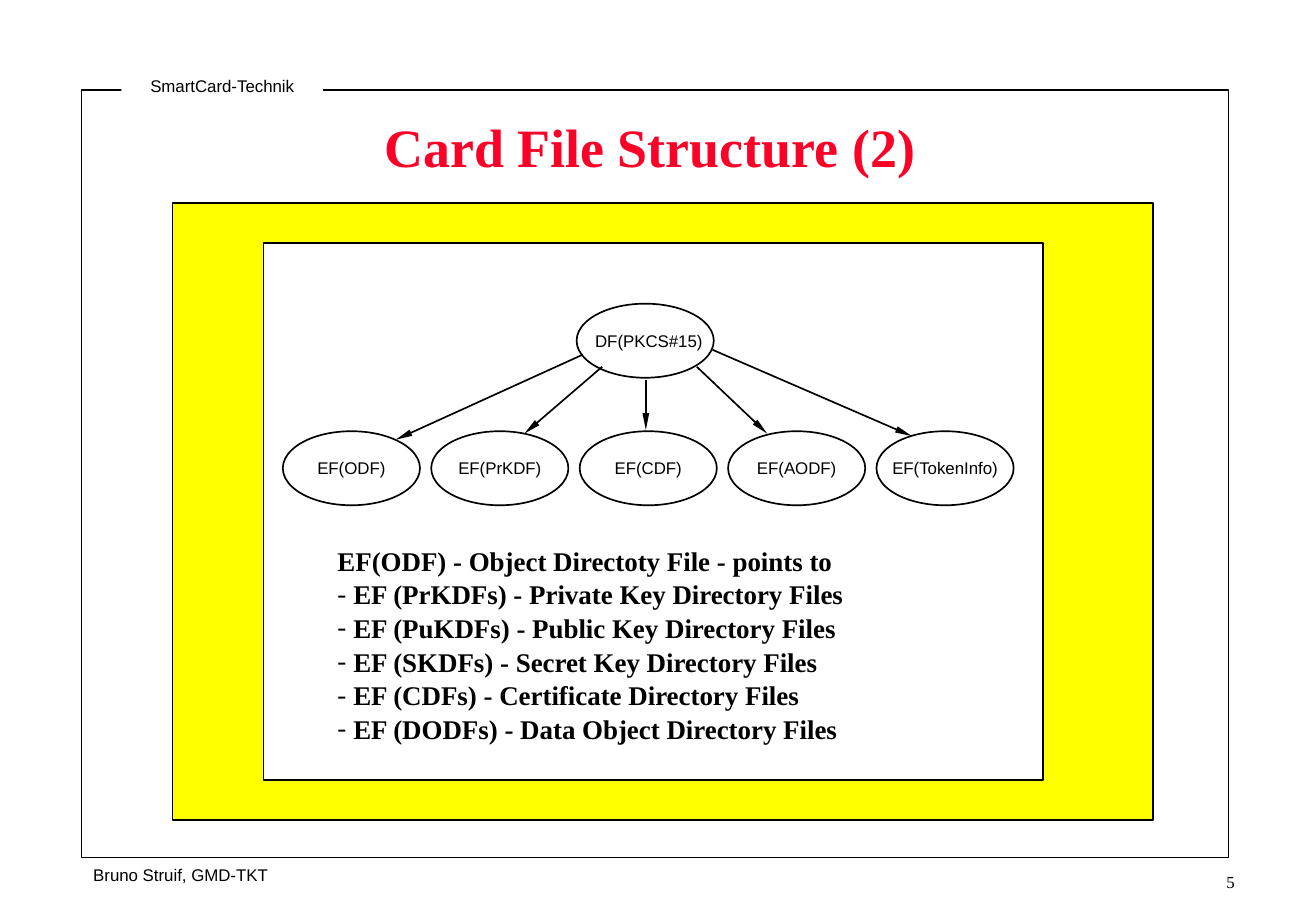
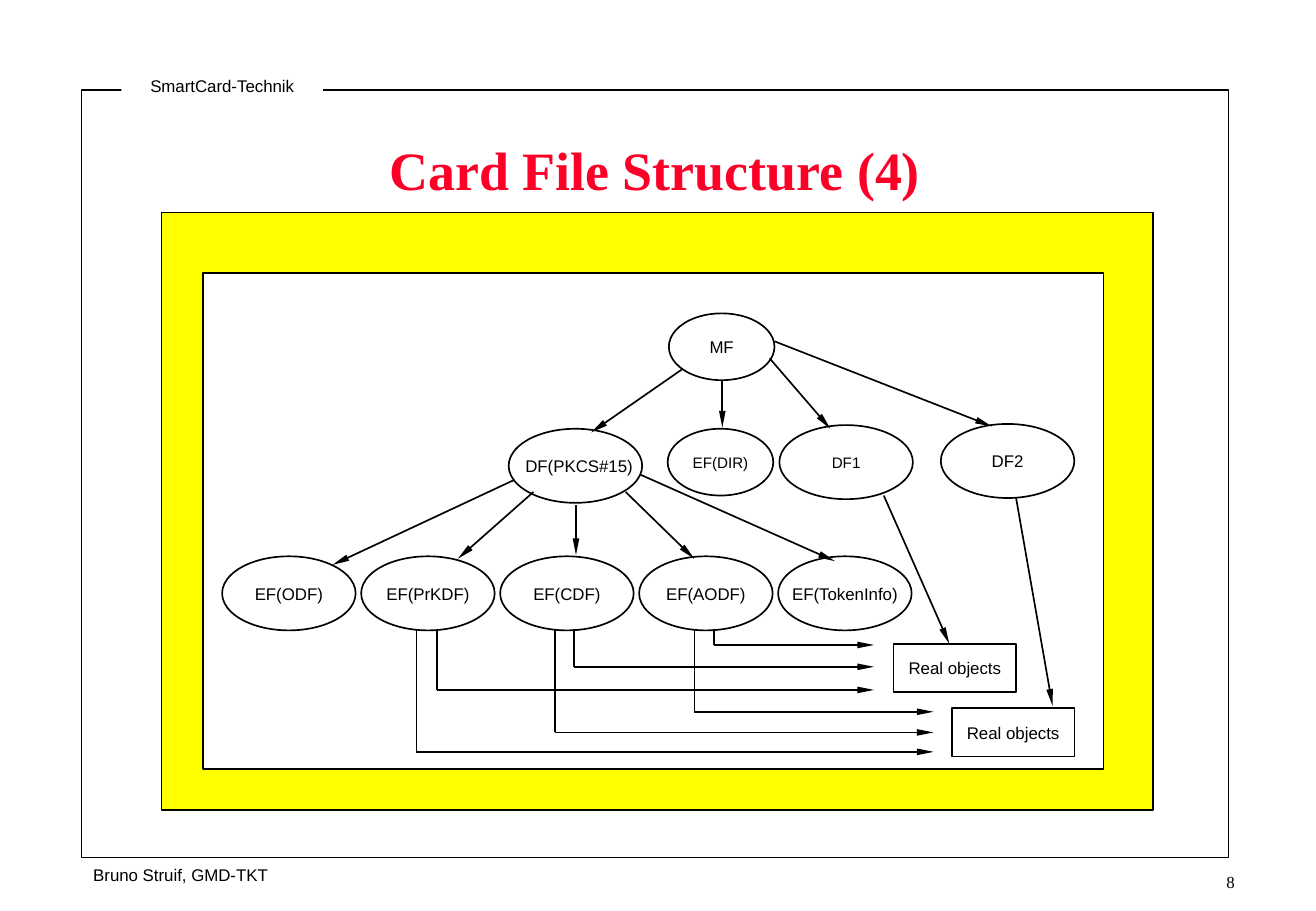
"""Build two slides on the card file structure."""
from lxml import etree
from pptx import Presentation
from pptx import util as u
from pptx.dml import color
from pptx.enum import shapes, text
from pptx.oxml import ns

BLACK, WHITE, YELLOW, RED = "000000", "FFFFFF", "FFFF00", "FC0128"
SANS, SERIF = "Arial", "Times New Roman"
RECTANGLE, OVAL = shapes.MSO_SHAPE.RECTANGLE, shapes.MSO_SHAPE.OVAL
LEFT, CENTER, RIGHT = text.PP_ALIGN.LEFT, text.PP_ALIGN.CENTER, text.PP_ALIGN.RIGHT

FRAME = (0.67, 0.74, 9.45, 6.32)
TAG = ("SmartCard-Technik", (1, 0.58, 1.66, 0.26))
AUTHOR = ("Bruno Struif, GMD-TKT", (0.67, 7.07, 2.5, 0.26))
NUMBER_BOX = (9.49, 7.13, 0.78, 0.26)

DEFINITIONS_BOX = (2.68, 4.42, 4.5, 1.7)
DEFINITIONS = [
    "EF(ODF) - Object Directoty File - points to",
    "EF (PrKDFs) - Private Key Directory Files",
    "EF (PuKDFs) - Public Key Directory Files",
    "EF (SKDFs) - Secret Key Directory Files",
    "EF (CDFs) - Certificate Directory Files",
    "EF (DODFs) - Data Object Directory Files",
]

ROOT_FILE = "DF(PKCS#15)"
ELEMENTARY_FILES = ["EF(ODF)", "EF(PrKDF)", "EF(CDF)", "EF(AODF)", "EF(TokenInfo)"]
NODE_HEIGHT, ROW_DROP = 0.61, 1.05
BRANCHES = [
    (0.05, 0.42, -1.49, 1.12),
    (0.21, 0.52, -0.43, 1.07),
    (0.57, 0.63, 0.57, 1.04),
    (0.99, 0.52, 1.57, 1.07),
    (1.12, 0.38, 2.76, 1.09),
]
BRANCH_NODE_WIDTH = 1.13

UPPER_FILES = [
    ("MF", (5.51, 2.58, 0.87, 0.55), 10),
    ("EF(DIR)", (5.5, 3.53, 0.87, 0.55), 9),
    ("DF1", (6.42, 3.5, 1.1, NODE_HEIGHT), 9),
    ("DF2", (7.75, 3.49, 1.1, NODE_HEIGHT), 10),
]
REAL_OBJECTS = [(7.36, 5.3, 1.01, 0.4), (7.84, 5.83, 1.01, 0.4)]
UPPER_ARROWS = [
    (5.62, 3.04, 4.87, 3.56),
    (5.95, 3.13, 5.95, 3.52),
    (6.34, 2.95, 6.84, 3.53),
    (6.38, 2.81, 8.17, 3.51),
    (8.37, 4.1, 8.67, 5.81),
    (7.28, 4.08, 7.82, 5.3),
]
ELBOW_TOP = 5.18
ELBOWS = [
    (7.2, [(3.6, 5.68), (4.73, 5.49), (5.88, 5.31)]),
    (7.69, [(3.43, 6.19), (4.57, 6.03), (5.72, 5.86)]),
]


def rgb(value):
    return color.RGBColor.from_string(value)


def place(shape, box):
    shape.left, shape.top, shape.width, shape.height = map(u.Inches, box)


def write(paragraph, words, size=10, font=SANS, ink=BLACK, bold=False, align=CENTER):
    paragraph.alignment = align
    run = paragraph.add_run()
    run.text = words
    run.font.size = u.Pt(size)
    run.font.name = font
    run.font.bold = bold
    run.font.color.rgb = rgb(ink)


def add_box(slide, kind, box, fill=None, line=BLACK, label=None, size=10, inset=0):
    shape = slide.shapes.add_shape(kind, *map(u.Inches, box))
    shape.shadow.inherit = False
    if fill:
        shape.fill.solid()
        shape.fill.fore_color.rgb = rgb(fill)
    else:
        shape.fill.background()
    if line:
        shape.line.color.rgb = rgb(line)
        shape.line.width = u.Pt(1)
    else:
        shape.line.fill.background()
    if label:
        frame = shape.text_frame
        frame.word_wrap = False
        frame.vertical_anchor = text.MSO_ANCHOR.MIDDLE
        frame.margin_left, frame.margin_right = u.Inches(inset), 0
        frame.margin_top = frame.margin_bottom = 0
        write(frame.paragraphs[0], label, size)
    return shape


def add_note(slide, words, box, font, align):
    shape = slide.shapes.add_textbox(*map(u.Inches, box))
    frame = shape.text_frame
    frame.word_wrap = True
    frame.vertical_anchor = text.MSO_ANCHOR.MIDDLE
    write(frame.paragraphs[0], words, font=font, align=align)
    return shape


def add_line(slide, ends, arrow=True):
    line = slide.shapes.add_connector(shapes.MSO_CONNECTOR.STRAIGHT, *map(u.Inches, ends))
    line.line.color.rgb = rgb(BLACK)
    line.line.width = u.Pt(1)
    if arrow:
        etree.SubElement(line.line._get_or_add_ln(), ns.qn("a:tailEnd"),
                         type="triangle", w="sm", len="lg")
    etree.SubElement(line.element.spPr, ns.qn("a:effectLst"))


def add_master_parts(presentation, slide):
    parts = [
        add_box(slide, RECTANGLE, FRAME),
        add_box(slide, RECTANGLE, TAG[1], WHITE, None, TAG[0]),
        add_note(slide, *AUTHOR, SANS, LEFT),
    ]
    for part in parts:
        presentation.slide_master.shapes.element.append(part.element)


def start_slide(presentation, layout, title, title_corner, number, outer, inner):
    slide = presentation.slides.add_slide(presentation.slide_layouts[layout])
    heading = slide.shapes.title
    place(heading, (*title_corner, 8.71, 1.06))
    heading.text_frame.vertical_anchor = text.MSO_ANCHOR.MIDDLE
    heading.text_frame.auto_size = text.MSO_AUTO_SIZE.NONE
    write(heading.text_frame.paragraphs[0], title, 32, SERIF, RED, True)
    add_box(slide, RECTANGLE, outer, YELLOW)
    add_box(slide, RECTANGLE, inner, WHITE)
    add_note(slide, number, NUMBER_BOX, SERIF, RIGHT)
    return slide


def add_file_tree(slide, left, top, width, first, last):
    add_box(slide, OVAL, (left, top, width, NODE_HEIGHT), label=ROOT_FILE, inset=0.06)
    step = (last - first) / (len(ELEMENTARY_FILES) - 1)
    for index, name in enumerate(ELEMENTARY_FILES):
        box = (first + index * step, top + ROW_DROP, width, NODE_HEIGHT)
        add_box(slide, OVAL, box, label=name)
    scale = width / BRANCH_NODE_WIDTH
    for x1, y1, x2, y2 in BRANCHES:
        add_line(slide, (left + x1 * scale, top + y1, left + x2 * scale, top + y2))


def add_definitions(slide):
    body = slide.placeholders[1]
    slide.shapes.element.append(body.element)
    place(body, DEFINITIONS_BOX)
    frame = body.text_frame
    frame.word_wrap = True
    frame.auto_size = text.MSO_AUTO_SIZE.NONE
    for index, words in enumerate(DEFINITIONS):
        paragraph = frame.add_paragraph() if index else frame.paragraphs[0]
        paragraph.space_before = u.Pt(0)
        paragraph.line_spacing = 1.04
        indent = u.Inches(0.13) if index else 0
        properties = paragraph._p.get_or_add_pPr()
        properties.set("marL", str(indent))
        properties.set("indent", str(-indent))
        if index:
            etree.SubElement(properties, ns.qn("a:buFont"), typeface=SERIF)
            etree.SubElement(properties, ns.qn("a:buChar"), char="-")
        else:
            etree.SubElement(properties, ns.qn("a:buNone"))
        write(paragraph, words, 16, SERIF, bold=True, align=LEFT)


def add_directory_level(slide):
    for name, box, size in UPPER_FILES:
        add_box(slide, OVAL, box, label=name, size=size)
    for box in REAL_OBJECTS:
        add_box(slide, RECTANGLE, box, WHITE, label="Real objects")
    for ends in UPPER_ARROWS:
        add_line(slide, ends)
    for target, corners in ELBOWS:
        for x, y in corners:
            add_line(slide, (x, ELBOW_TOP, x, y), arrow=False)
            add_line(slide, (x, y, target, y))


def main():
    presentation = Presentation()
    presentation.slide_width, presentation.slide_height = u.Inches(10.84), u.Inches(7.5)

    slide = start_slide(presentation, 1, "Card File Structure (2)", (1, 0.67), "5",
                        (1.42, 1.67, 8.08, 5.08), (2.17, 2, 6.42, 4.42))
    add_master_parts(presentation, slide)
    add_file_tree(slide, 4.75, 2.5, 1.13, 2.33, 7.22)
    add_definitions(slide)

    slide = start_slide(presentation, 5, "Card File Structure (4)", (1.04, 0.86), "8",
                        (1.33, 1.75, 8.17, 4.92), (1.67, 2.25, 7.42, 4.08))
    add_file_tree(slide, 4.19, 3.53, 1.1, 1.83, 6.41)
    add_directory_level(slide)

    presentation.save("out.pptx")


if __name__ == "__main__":
    main()
